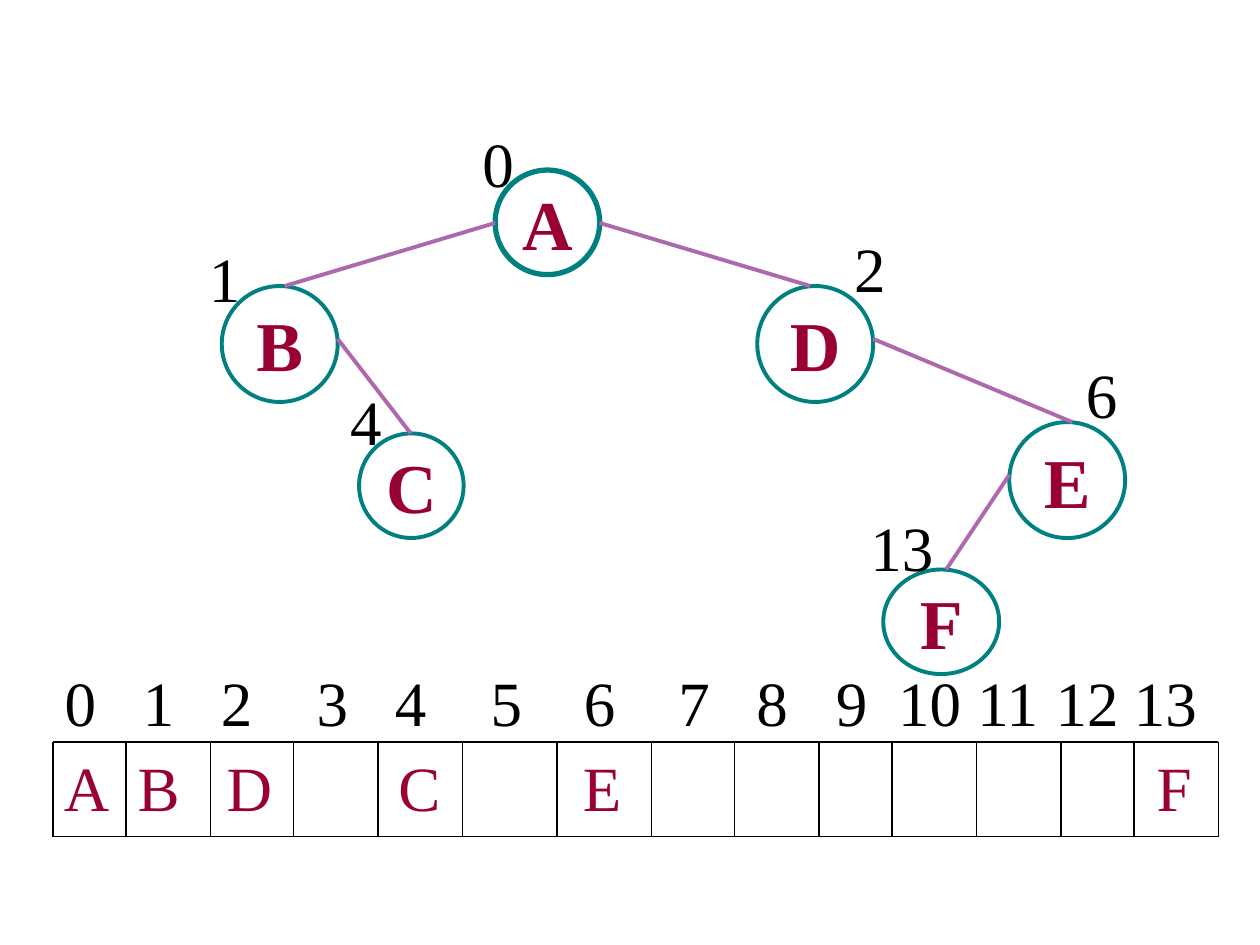
"""Build a slide showing a sparse binary tree and its array storage."""
from typing import NamedTuple

from lxml import etree
from pptx import Presentation
from pptx.dml.color import RGBColor
from pptx.enum.shapes import MSO_CONNECTOR, MSO_SHAPE
from pptx.enum.text import MSO_ANCHOR, PP_ALIGN
from pptx.oxml.ns import qn
from pptx.util import Inches, Pt

CIRCLE = MSO_SHAPE.OVAL
STRAIGHT = MSO_CONNECTOR.STRAIGHT
MIDDLE = MSO_ANCHOR.MIDDLE
CENTER = PP_ALIGN.CENTER

BLACK = RGBColor(0x00, 0x00, 0x00)
WHITE = RGBColor(0xFF, 0xFF, 0xFF)
TEAL = RGBColor(0x00, 0x80, 0x80)
CRIMSON = RGBColor(0x99, 0x00, 0x33)
PURPLE = RGBColor(0xAE, 0x68, 0xAE)
FONT = "Times New Roman"
TEXT_SIZE = 36


class Node(NamedTuple):
    letter: str
    index: int
    left: float
    top: float
    width: float
    height: float
    label_left: float
    label_top: float
    outline: float = 2.25


class Line(NamedTuple):
    start_x: float
    start_y: float
    end_x: float
    end_y: float


class Entry(NamedTuple):
    text: str
    center: float


class Row(NamedTuple):
    left: float
    top: float
    width: float
    color: RGBColor
    entries: list[Entry]


NODES = [
    Node("A", 0, 3.93, 1.35, 0.83, 0.83, 3.73, 0.94, 3),
    Node("B", 1, 1.76, 2.27, 0.92, 0.92, 1.56, 1.85),
    Node("C", 4, 2.85, 3.44, 0.83, 0.83, 2.68, 2.99),
    Node("D", 2, 6.01, 2.27, 0.92, 0.92, 6.68, 1.77),
    Node("E", 6, 8.01, 3.35, 0.92, 0.92, 8.52, 2.77),
    Node("F", 13, 7.01, 4.52, 0.92, 0.83, 6.81, 3.99),
]
TREE_EDGES = [
    Line(3.93, 1.77, 2.26, 2.27),
    Line(2.68, 2.69, 3.26, 3.44),
    Line(4.76, 1.77, 6.43, 2.27),
    Line(6.93, 2.69, 8.51, 3.35),
    Line(8.01, 3.77, 7.51, 4.52),
]
CELL_EDGES = [0.42, 1, 1.67, 2.33, 3, 3.67, 4.42, 5.17,
              5.83, 6.5, 7.08, 7.75, 8.42, 9, 9.67]
ARRAY_TOP, ARRAY_BOTTOM = 5.89, 6.64
INSET = 0.1
INDEX_CENTERS = [0.64, 1.26, 1.88, 2.64, 3.26, 4.02, 4.76,
                 5.51, 6.13, 6.76, 7.38, 8, 8.63, 9.25]
LETTER_ROW = Row(0.33, 5.89, 9.25, CRIMSON, [
    Entry("A", 0.69), Entry("B", 1.26), Entry("D", 1.98),
    Entry("C", 3.33), Entry("E", 4.78), Entry("F", 9.32)])
INDEX_ROW = Row(0.34, 5.22, 9.28, BLACK, [
    Entry(str(index), center) for index, center in enumerate(INDEX_CENTERS)])


def add_span(para, text: str, color: RGBColor, size: float = TEXT_SIZE,
             bold: bool = False) -> None:
    """Add one formatted run to a paragraph."""
    span = para.add_run()
    span.text = text
    span.font.name = FONT
    span.font.size = Pt(size)
    span.font.bold = bold
    span.font.color.rgb = color


def draw_node(page, node: Node) -> None:
    """Draw a tree node as a lettered circle."""
    circle = page.shapes.add_shape(CIRCLE, Inches(node.left), Inches(node.top),
                                   Inches(node.width), Inches(node.height))
    circle.shadow.inherit = False
    circle.fill.solid()
    circle.fill.fore_color.rgb = WHITE
    circle.line.color.rgb = TEAL
    circle.line.width = Pt(node.outline)
    frame = circle.text_frame
    frame.word_wrap = False
    frame.vertical_anchor = MIDDLE
    para = frame.paragraphs[0]
    para.alignment = CENTER
    add_span(para, node.letter, CRIMSON, 40, True)


def draw_label(page, node: Node) -> None:
    """Write the array index beside a node."""
    width = 0.2 + 0.25 * len(str(node.index))
    box = page.shapes.add_textbox(Inches(node.label_left), Inches(node.label_top),
                                  Inches(width), Inches(0.7))
    box.text_frame.word_wrap = False
    add_span(box.text_frame.paragraphs[0], str(node.index), BLACK)


def draw_line(page, line: Line, color: RGBColor, width: float) -> None:
    """Draw a straight line without a shadow."""
    connector = page.shapes.add_connector(STRAIGHT, *(Inches(value) for value in line))
    connector.line.color.rgb = color
    connector.line.width = Pt(width)
    etree.SubElement(connector._element.spPr, qn("a:effectLst"))


def draw_array(page) -> None:
    """Rule the array cells."""
    for height in (ARRAY_TOP, ARRAY_BOTTOM):
        draw_line(page, Line(CELL_EDGES[0], height, CELL_EDGES[-1], height), BLACK, 1)
    for edge in CELL_EDGES:
        draw_line(page, Line(edge, ARRAY_TOP, edge, ARRAY_BOTTOM), BLACK, 1)


def draw_row(page, row: Row) -> None:
    """Write a row of entries on centred tab stops."""
    box = page.shapes.add_textbox(Inches(row.left), Inches(row.top),
                                  Inches(row.width), Inches(0.7))
    frame = box.text_frame
    frame.word_wrap = True
    frame.margin_left = Inches(INSET)
    frame.margin_right = 0
    para = frame.paragraphs[0]
    tabs = etree.SubElement(para._p.get_or_add_pPr(), qn("a:tabLst"))
    for entry in row.entries:
        position = Inches(entry.center - row.left - INSET)
        etree.SubElement(tabs, qn("a:tab"), pos=str(position), algn="ctr")
        add_span(para, f"\t{entry.text}", row.color)


def main() -> None:
    """Build and save the deck."""
    deck = Presentation()
    deck.slide_width, deck.slide_height = Inches(10), Inches(7.5)
    page = deck.slides.add_slide(deck.slide_layouts[6])
    for node in NODES:
        draw_node(page, node)
    draw_array(page)
    for row in (LETTER_ROW, INDEX_ROW):
        draw_row(page, row)
    for edge in TREE_EDGES:
        draw_line(page, edge, PURPLE, 2.25)
    for node in NODES:
        draw_label(page, node)
    deck.save("out.pptx")


if __name__ == "__main__":
    main()
